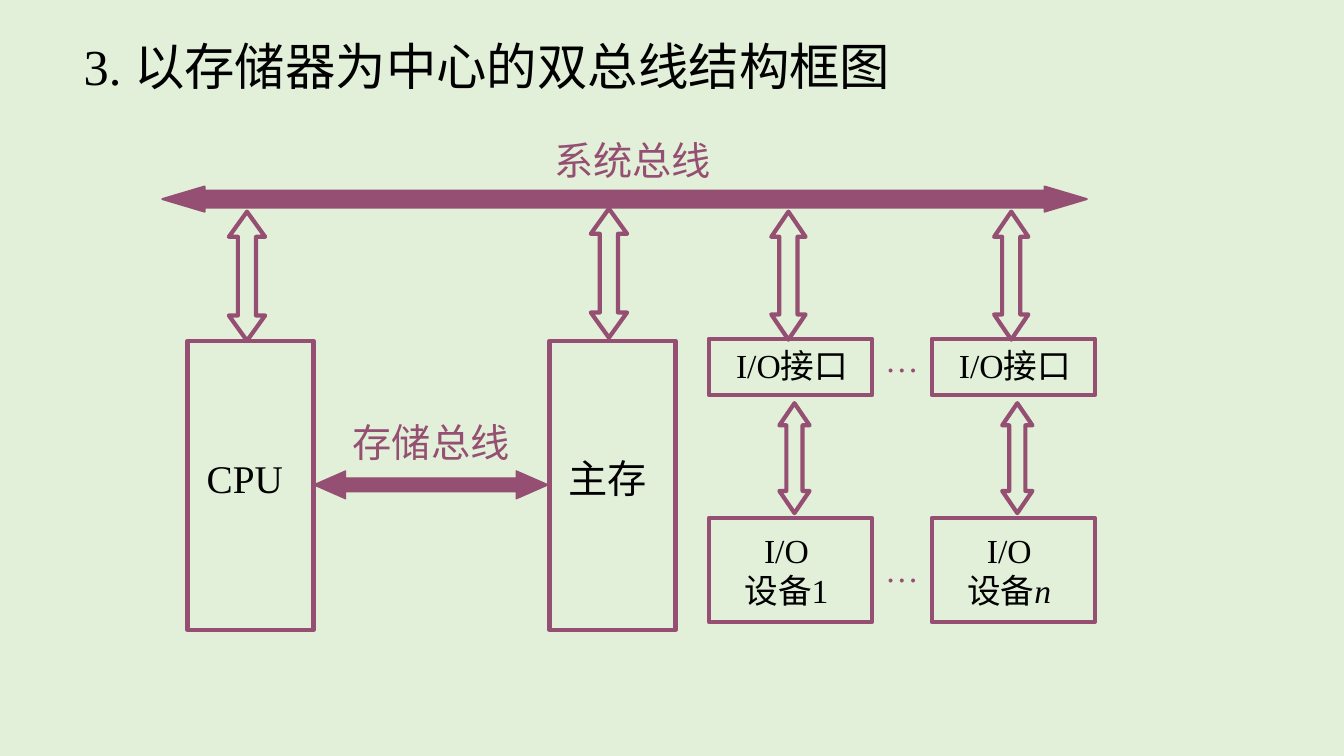
from dataclasses import dataclass

from pptx import Presentation
from pptx.dml.color import RGBColor
from pptx.enum.shapes import MSO_SHAPE
from pptx.enum.text import MSO_ANCHOR, PP_ALIGN
from pptx.util import Inches, Pt

BACKGROUND = RGBColor(0xE2, 0xF0, 0xD9)
PLUM = RGBColor(0x95, 0x4F, 0x72)
BLACK = RGBColor(0, 0, 0)
LATIN_FONT = "Times New Roman"
CHINESE_FONT = "Noto Sans CJK SC"
LEFT, CENTER = PP_ALIGN.LEFT, PP_ALIGN.CENTER
TOP, MIDDLE = MSO_ANCHOR.TOP, MSO_ANCHOR.MIDDLE
RECTANGLE, DOUBLE_ARROW = MSO_SHAPE.RECTANGLE, MSO_SHAPE.LEFT_RIGHT_ARROW
TITLE_ONLY_LAYOUT = 5

IO_COLUMNS = (7.03, 9.24)


@dataclass(frozen=True)
class Box:
    left: float
    top: float
    width: float
    height: float
    lines: tuple[str, ...]
    size: int
    margins: tuple[float, float, float, float]  # left, top, right, bottom
    align: PP_ALIGN = LEFT
    italic_end: str = ""


@dataclass(frozen=True)
class Label:
    left: float
    top: float
    width: float
    height: float
    text: str
    size: int
    font: str = LATIN_FONT


@dataclass(frozen=True)
class Arrow:
    left: float
    top: float
    width: float
    height: float
    head: float  # length of each arrowhead
    inset: float  # distance from the head's edge to the shaft
    line: float = 3
    filled: bool = False


def write_text(shape, lines, size, color, font=LATIN_FONT, align=LEFT,
               anchor=TOP, margins=(0, 0, 0, 0), italic_end="") -> None:
    frame = shape.text_frame
    left, top, right, bottom = map(Inches, margins)
    frame_format = {"word_wrap": True, "vertical_anchor": anchor,
                    "margin_left": left, "margin_top": top,
                    "margin_right": right, "margin_bottom": bottom}
    for name, value in frame_format.items():
        setattr(frame, name, value)
    for index, line in enumerate(lines):
        paragraph = frame.paragraphs[0] if index == 0 else frame.add_paragraph()
        paragraph.alignment = align
        paragraph.add_run().text = line
    if italic_end:
        run = paragraph.add_run()
        run.text = italic_end
        run.font.italic = True
    for paragraph in frame.paragraphs:
        for run in paragraph.runs:
            for name, value in {"name": font, "size": Pt(size)}.items():
                setattr(run.font, name, value)
            run.font.color.rgb = color


def paint(shape, line_width: float, filled: bool) -> None:
    shape.shadow.inherit = False
    if filled:
        shape.fill.solid()
        shape.fill.fore_color.rgb = PLUM
    else:
        shape.fill.background()
    shape.line.color.rgb = PLUM
    shape.line.width = Pt(line_width)


def draw_box(slide, box: Box) -> None:
    shape = slide.shapes.add_shape(
        RECTANGLE, *map(Inches, (box.left, box.top, box.width, box.height)))
    paint(shape, 3, False)
    write_text(shape, box.lines, box.size, BLACK, align=box.align,
               anchor=MIDDLE, margins=box.margins, italic_end=box.italic_end)


def draw_label(slide, label: Label) -> None:
    shape = slide.shapes.add_textbox(
        *map(Inches, (label.left, label.top, label.width, label.height)))
    write_text(shape, (label.text,), label.size, PLUM, font=label.font)


def draw_arrow(slide, arrow: Arrow) -> None:
    """Outline a two-headed arrow along the longer side of its frame."""
    length = max(arrow.width, arrow.height)
    breadth = min(arrow.width, arrow.height)
    near, far = arrow.head, length - arrow.head
    low, high = arrow.inset, breadth - arrow.inset
    points = [(0, breadth / 2), (near, breadth), (near, high), (far, high),
              (far, breadth), (length, breadth / 2), (far, 0), (far, low),
              (near, low), (near, 0)]
    if arrow.height > arrow.width:
        points = [(across, along) for along, across in points]
    outline = [(Inches(arrow.left + x), Inches(arrow.top + y)) for x, y in points]
    builder = slide.shapes.build_freeform(*outline[0])
    builder.add_line_segments(outline[1:], close=True)
    paint(builder.convert_to_shape(), arrow.line, arrow.filled)


def main() -> None:
    presentation = Presentation()
    presentation.slide_width = Inches(13.33)
    presentation.slide_height = Inches(7.5)
    slide = presentation.slides.add_slide(
        presentation.slide_layouts[TITLE_ONLY_LAYOUT])
    slide.background.fill.solid()
    slide.background.fill.fore_color.rgb = BACKGROUND

    # Title
    title = slide.shapes.title
    frame = {"left": 0.73, "top": 0.3, "width": 8.67, "height": 0.7}
    for name, value in frame.items():
        setattr(title, name, Inches(value))
    write_text(title, ("3. 以存储器为中心的双总线结构框图",), 36, BLACK,
               anchor=MIDDLE, margins=(0.1, 0.05, 0.1, 0.05))

    # System bus
    draw_label(slide, Label(5.5, 1.35, 2.53, 0.47, "系统总线", 28, CHINESE_FONT))
    draw_arrow(slide, Arrow(1.61, 1.85, 9.17, 0.25, 0.42, 0.04, 1.38, True))

    # Processor and main memory, each joined to the system bus
    for left, name, arrow_top in ((1.86, "CPU", 2.1), (5.45, "主存", 2.07)):
        draw_box(slide, Box(left, 3.38, 1.25, 2.87, (name,), 28,
                            (0.19, 0, 0, 0.15)))
        draw_arrow(slide, Arrow(left + 0.41, arrow_top, 0.36, 1.28, 0.25, 0.09))

    # Interfaces and devices
    for left, number, suffix in zip(IO_COLUMNS, ("1", ""), ("", "n")):
        draw_box(slide, Box(left, 3.36, 1.62, 0.56, ("I/O接口",), 24,
                            (0.27, 0, 0, 0.04)))
        draw_box(slide, Box(left, 5.14, 1.62, 1.03, ("I/O", "设备" + number),
                            24, (0, 0, 0.08, 0), CENTER, suffix))
        middle = left + 0.83
        draw_arrow(slide, Arrow(middle - 0.21, 2.1, 0.34, 1.27, 0.25, 0.08))
        draw_arrow(slide, Arrow(middle - 0.13, 4, 0.3, 1.09, 0.22, 0.07))
    for top in (3.36, 5.45):
        draw_label(slide, Label(8.78, top, 0.34, 0.4, "…", 24))

    # Memory bus
    memory_bus = slide.shapes.add_shape(
        DOUBLE_ARROW, *map(Inches, (3.11, 4.67, 2.33, 0.28)))
    memory_bus.adjustments[0] = 0.5
    memory_bus.adjustments[1] = 1.14
    paint(memory_bus, 0.75, True)
    draw_label(slide, Label(3.5, 4.15, 1.66, 0.47, "存储总线", 28))

    presentation.save("out.pptx")


if __name__ == "__main__":
    main()
